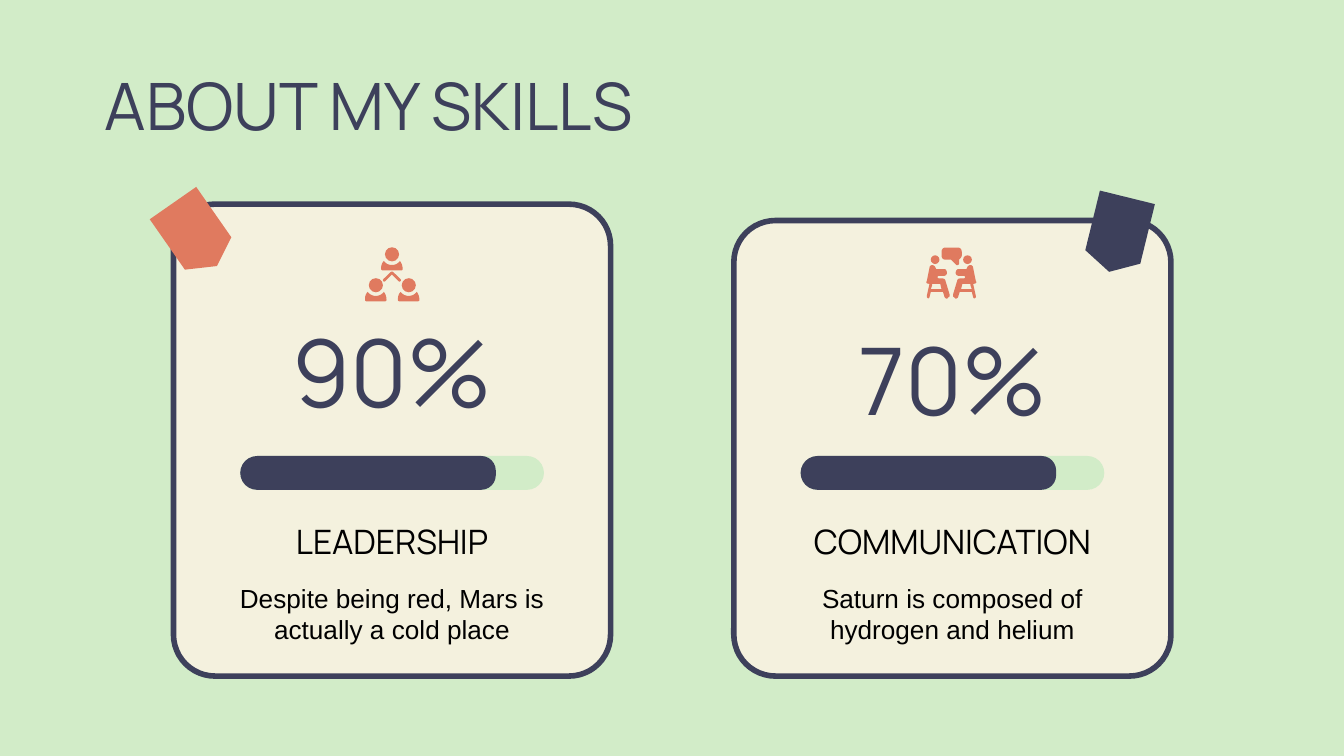
from dataclasses import dataclass

from pptx import Presentation
from pptx.dml.color import RGBColor
from pptx.enum.shapes import MSO_SHAPE
from pptx.enum.text import MSO_ANCHOR, MSO_AUTO_SIZE, PP_ALIGN
from pptx.util import Cm, Pt

ROUND = MSO_SHAPE.ROUNDED_RECTANGLE
CAP = MSO_SHAPE.ROUND_2_SAME_RECTANGLE
TAG = MSO_SHAPE.FLOWCHART_OFFPAGE_CONNECTOR
OVAL = MSO_SHAPE.OVAL
TOP, BASE = MSO_ANCHOR.TOP, MSO_ANCHOR.BOTTOM
LEFT, MID = PP_ALIGN.LEFT, PP_ALIGN.CENTER
FIXED = MSO_AUTO_SIZE.NONE


@dataclass(frozen=True)
class Theme:
    mint: str = "D2ECC8"
    cream: str = "F4F1DE"
    navy: str = "3D405B"
    coral: str = "E07A5F"
    black: str = "000000"
    head: str = "Manrope"
    body: str = "Arial"
    title: int = 35
    number: int = 50
    label: int = 18
    note: int = 14


@dataclass
class Box:
    left: int
    top: int
    width: int
    height: int

    @property
    def base(self):
        return self.top + self.height


LOOK = Theme()
UNIT = Cm(2.54) / 100
STEPS = 6

TORSO = ("M 2 10 C 0 12 0 14 0 16 C 0 16.5 0.4 17 1 17 L 15 17 "
         "C 15.6 17 16 16.5 16 16 C 16 14 15.5 12 14 10 "
         "C 12.5 12 10.5 13 8 13 C 5.5 13 3.5 12 2 10 Z")
ARROW = ("M 20 17.8 C 19.6 17.8 19.3 18 19 18.2 L 13.6 23.5 "
         "C 13.2 24 13.2 24.6 13.6 25 C 14 25.4 14.6 25.4 15 25 "
         "L 20 20 L 25 25 C 25.4 25.4 26 25.4 26.4 25 "
         "C 26.8 24.6 26.8 24 26.4 23.5 L 21 18.2 "
         "C 20.7 18 20.4 17.8 20 17.8 Z")
BUBBLE = ("M 15 0 C 13 0 12 1.5 12 3 L 12 6 C 12 8 13 9 15 9 L 19 9 "
          "L 23 13 C 23.5 13.4 24.8 13 25 12 L 25 9 C 26 8 27 7 27 6 "
          "L 27 3 C 27 1.5 26 0 24 0 Z")
SEATED = ("M 11 27 L 12 31 L 4 31 L 5 28 L 5 27 Z "
          "M 5 13 C 4 13 3 14 3 15 L 1 25 C 0 26 1 27 3 27 L 1 36 "
          "C 1 37 1 37 1.5 37.5 C 2 38 2.5 38 3 37 L 4 33 L 13 33 L 14 36 "
          "C 14 37 15 38 16 38 C 16 38 16.5 38 17 37 C 18 37 18 36 18 35 "
          "L 15 25 C 15 24 14 23 13 23 L 11 23 C 10 23 9 23 9 22 "
          "C 9 21 10 21 11 21 L 14 21 C 15 21 16 20 16 19 "
          "C 16 17 15 16 14 16 L 8 16 L 7 14 C 7 14 6 13 5 13 Z")


def paint(shape, fill, line=None):
    shape.shadow.inherit = False
    shape.fill.solid()
    shape.fill.fore_color.rgb = RGBColor.from_string(fill)
    if line:
        shape.line.color.rgb = RGBColor.from_string(line)
        shape.line.width = Pt(3)
    else:
        shape.line.fill.background()
    return shape


def draw(slide, kind, box, fill, line=None):
    shape = slide.shapes.add_shape(kind, box.left, box.top, box.width, box.height)
    return paint(shape, fill, line)


def write(shape, text, size, font=LOOK.head, color=LOOK.navy, align=MID, anchor=BASE):
    frame = shape.text_frame
    frame.word_wrap = True
    frame.auto_size = FIXED
    frame.vertical_anchor = anchor
    frame.margin_left = frame.margin_right = 0
    frame.margin_top = frame.margin_bottom = 0
    frame.text = text
    line = frame.paragraphs[0]
    line.alignment = align
    line.font.size = Pt(size)
    line.font.name = font
    line.font.color.rgb = RGBColor.from_string(color)


def curve(start, one, two, end):
    for step in range(1, STEPS + 1):
        t = step / STEPS
        u = 1 - t
        yield tuple(u**3 * a + 3 * u * u * t * b + 3 * u * t * t * c + t**3 * d
                    for a, b, c, d in zip(start, one, two, end))


def trace(slide, data, place, fill):
    words = iter(data.split())

    def point():
        return place(float(next(words)), float(next(words)))

    pen = None
    for word in words:
        if word == "M":
            spot = point()
            dots = []
            if pen:
                pen.move_to(*spot)
            else:
                pen = slide.shapes.build_freeform(*spot, scale=1.0)
        elif word == "L":
            spot = point()
            dots.append(spot)
        elif word == "C":
            ends = point(), point(), point()
            dots.extend(curve(spot, *ends))
            spot = ends[-1]
        else:
            pen.add_line_segments(dots, close=True)
    paint(pen.convert_to_shape(), fill)


def placer(box, dx=0, dy=0, flip=None):
    def place(x, y):
        side = flip - x if flip else x + dx
        return box.left + side * UNIT, box.top + (y + dy) * UNIT
    return place


def disc(slide, place, x, y, size):
    left, top = place(x, y)
    half = size * UNIT / 2
    box = Box(int(left - half), int(top - half), int(2 * half), int(2 * half))
    draw(slide, OVAL, box, LOOK.coral)


def team(slide, box):
    for dx, dy in ((12, 0), (0, 23), (24.5, 23)):
        place = placer(box, dx, dy)
        trace(slide, TORSO, place, LOOK.coral)
        disc(slide, place, 8, 5, 10.5)
    trace(slide, ARROW, placer(box), LOOK.coral)


def talk(slide, box):
    for flip in (None, 38.5):
        place = placer(box, flip=flip)
        trace(slide, SEATED, place, LOOK.coral)
        disc(slide, place, 7.2, 9, 6.5)
    trace(slide, BUBBLE, placer(box), LOOK.coral)


def bar(slide, box, fill, ends):
    shift = (box.width - box.height) // 2
    tall = Box(box.left + shift, box.top - shift, box.height, box.width)
    shape = draw(slide, CAP, tall, fill)
    shape.rotation = 90
    shape.adjustments[0], shape.adjustments[1] = ends


def card(slide, box, icon, number, rise, height, label, note, tag, turn, tint):
    def field(up, high, text, size, **form):
        part = slide.shapes.add_textbox(box.left + Cm(0.89), box.base - up, Cm(6.48), high)
        write(part, text, size, **form)

    panel = draw(slide, ROUND, box, LOOK.cream, LOOK.navy)
    panel.adjustments[0] = 0.095
    spot = Box(box.left + tag[0], box.top + tag[1], Cm(1.07), Cm(1.45))
    draw(slide, TAG, spot, tint).rotation = turn
    icon(slide, Box(box.left + Cm(3.62), box.base - Cm(8.1), Cm(1.04), Cm(1.02)))
    field(rise, height, number, LOOK.number)
    for width, fill, ends in ((Cm(5.74), LOOK.mint, (0.5, 0.5)),
                              (Cm(4.83), LOOK.navy, (0.43, 0.5))):
        bar(slide, Box(box.left + Cm(1.26), box.base - Cm(4.16), width, Cm(0.64)), fill, ends)
    field(Cm(3.08), Cm(0.91), label, LOOK.label, color=LOOK.black)
    field(Cm(1.78), Cm(1.52), note, LOOK.note, font=LOOK.body, color=LOOK.black, anchor=TOP)


def header(slide, box, text):
    title = slide.shapes.title
    title.left, title.top = box.left, box.top
    title.width, title.height = box.width, box.height
    write(title, text, LOOK.title, align=LEFT, anchor=TOP)


def main():
    deck = Presentation()
    deck.slide_width, deck.slide_height = Cm(25.4), Cm(14.29)
    slide = deck.slides.add_slide(deck.slide_layouts[5])
    slide.background.fill.solid()
    slide.background.fill.fore_color.rgb = RGBColor.from_string(LOOK.mint)
    header(slide, Box(Cm(1.98), Cm(1.24), Cm(21.44), Cm(1.6)), "ABOUT MY SKILLS")
    card(slide, Box(Cm(3.28), Cm(3.86), Cm(8.26), Cm(8.92)), team,
         "90%", Cm(6.81), Cm(2.08), "LEADERSHIP",
         "Despite being red, Mars is actually a cold place",
         (Cm(-0.13), Cm(-0.15)), 325.1, LOOK.coral)
    card(slide, Box(Cm(13.87), Cm(4.17), Cm(8.26), Cm(8.61)), talk,
         "70%", Cm(7.01), Cm(2.44), "COMMUNICATION",
         "Saturn is composed of hydrogen and helium",
         (Cm(6.73), Cm(-0.46)), 13.8, LOOK.navy)
    deck.save("out.pptx")


if __name__ == "__main__":
    main()
